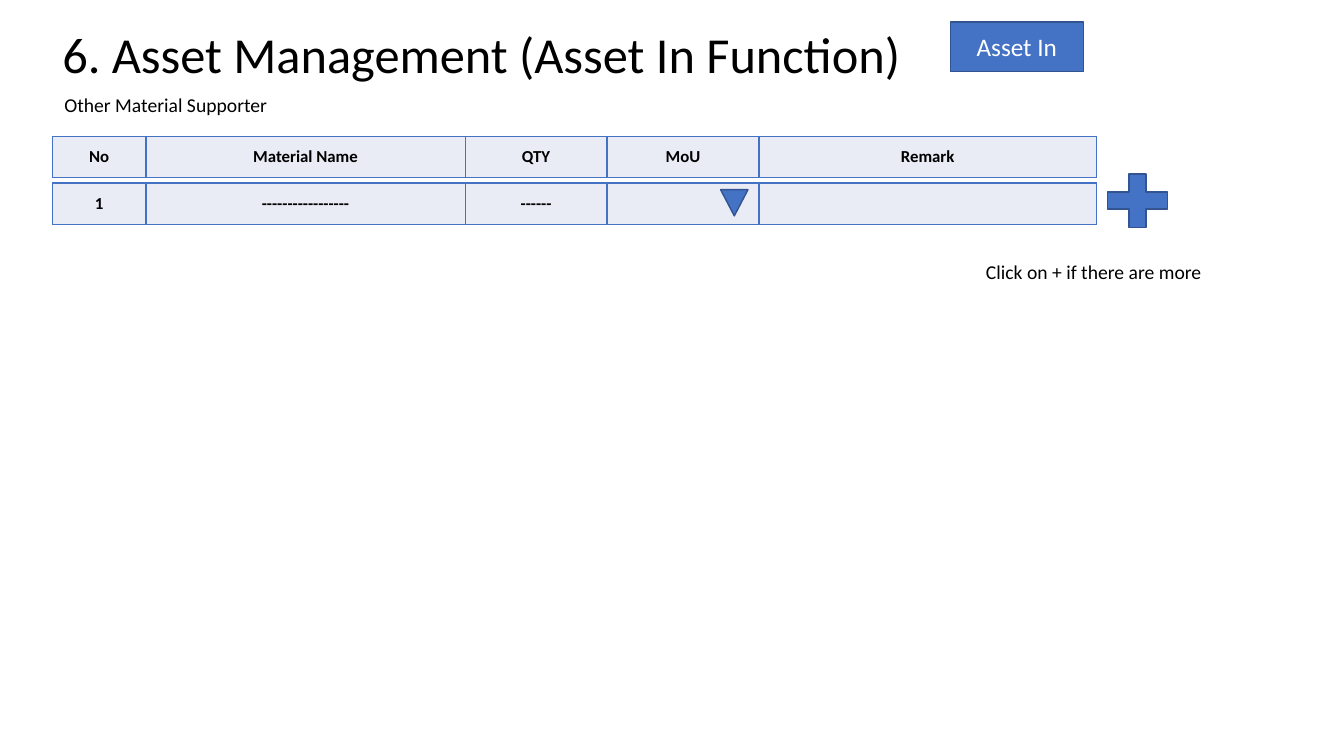
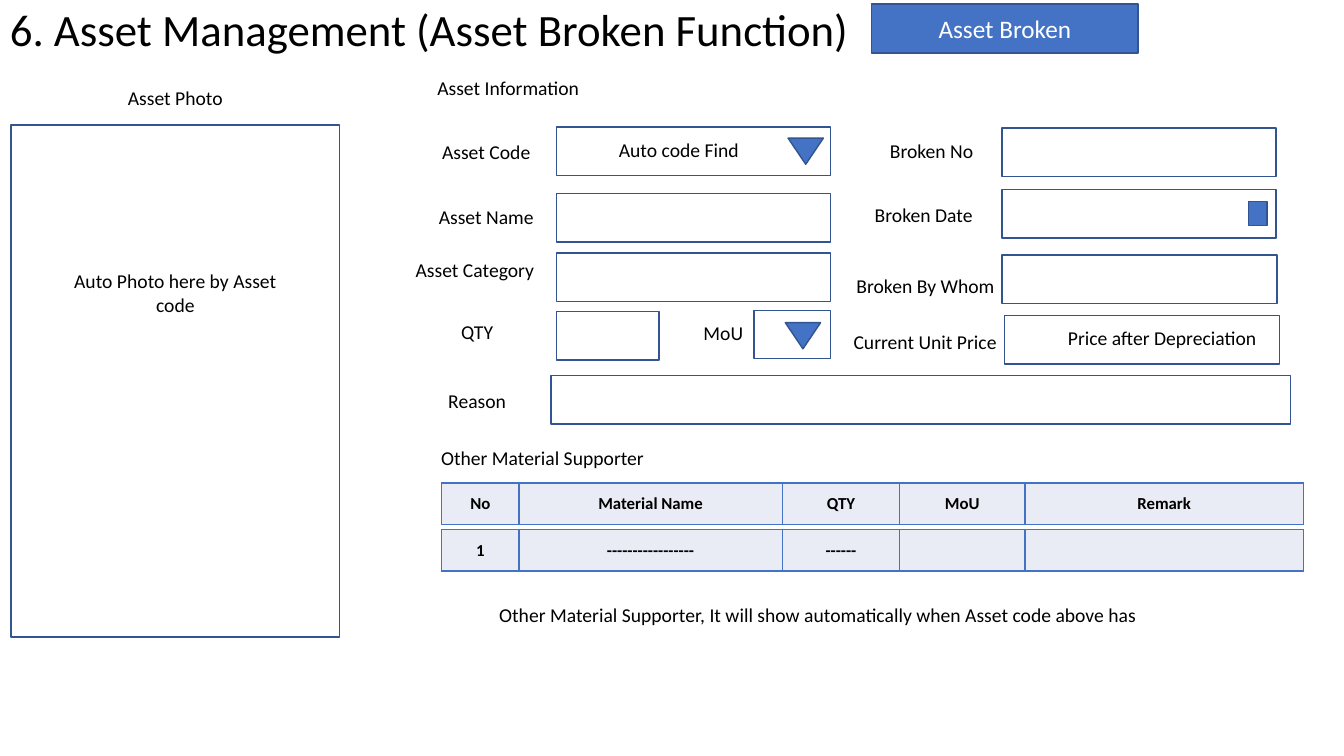
from dataclasses import dataclass

from lxml.etree import SubElement
from pptx import Presentation
from pptx.dml.color import RGBColor
from pptx.enum.shapes import MSO_SHAPE
from pptx.enum.text import MSO_ANCHOR, PP_ALIGN
from pptx.oxml.ns import qn
from pptx.shapes.autoshape import Shape
from pptx.slide import Slide
from pptx.table import _Cell
from pptx.text.text import _Paragraph
from pptx.util import Cm, Pt

BLUE = RGBColor(0x44, 0x72, 0xC4)
DARK_BLUE = RGBColor(0x32, 0x54, 0x91)
PALE_BLUE = RGBColor(0xE9, 0xEB, 0xF5)
BLACK = RGBColor(0, 0, 0)
WHITE = RGBColor(0xFF, 0xFF, 0xFF)

FONT = "Calibri"
LABEL_FORMAT = {"name": FONT, "size": Pt(14)}
BUTTON_FORMAT = {"name": FONT, "size": Pt(18)}
CELL_FORMAT = {"name": FONT, "size": Pt(12), "bold": True}

LABEL_HEIGHT = 1.24
INPUT_HEIGHT = 1.22
ROW_HEIGHT = 1.04
ROW_PITCH = 1.18
COLUMN_WEIGHTS = (93, 317, 141, 151, 335)
MATERIAL_ROWS = (
    ("No", "Material Name", "QTY", "MoU", "Remark"),
    ("1", "-----------------", "------", "", ""),
)


@dataclass(frozen=True)
class Box:
    """A place on the slide, in centimetres."""
    left: float
    top: float
    width: float
    height: float = LABEL_HEIGHT

    def lengths(self) -> tuple[Cm, Cm, Cm, Cm]:
        return Cm(self.left), Cm(self.top), Cm(self.width), Cm(self.height)


@dataclass(frozen=True)
class Label:
    text: str
    box: Box


@dataclass(frozen=True)
class Field:
    """A caption and the input box that it names."""
    caption: Label
    input_left: float
    input_top: float
    input_width: float


FIELDS = (
    Field(Label("Asset Code", Box(10.26, 3.2, 3.99)), 14.02, 3.2, 6.91),
    Field(Label("Asset Name", Box(10.26, 4.83, 3.99)), 14.02, 4.88, 6.91),
    Field(Label("Asset Category ", Box(10.03, 6.17, 3.99)), 14.02, 6.38, 6.91),
    Field(Label("QTY", Box(10.03, 7.75, 3.99)), 14.02, 7.85, 2.59),
    Field(Label("MoU", Box(16.59, 7.77, 3.28)), 19, 7.82, 1.93),
    Field(Label("Broken No ", Box(21.54, 3.18, 3.99)), 25.25, 3.23, 6.91),
    Field(Label("Broken Date ", Box(21.34, 4.8, 3.99)), 25.25, 4.78, 6.91),
    Field(Label("Broken By Whom", Box(21.13, 6.58, 4.39)), 25.25, 6.43, 6.93),
    Field(Label("Current Unit Price", Box(20.98, 7.98, 4.67)), 25.32, 7.95, 6.93),
    Field(Label("Reason", Box(10.36, 9.47, 3.33)), 13.89, 9.47, 18.64),
)

ASSET_IN_LABELS = (
    Label("Other Material Supporter", Box(0.66, 2.01, 7.04)),
    Label("Click on + if there are more ", Box(24.1, 6.22, 7.04)),
)

ASSET_BROKEN_LABELS = (
    Label("Asset Photo", Box(2.64, 1.83, 3.56)),
    Label("Auto Photo here by Asset code", Box(1.22, 6.76, 6.4)),
    Label("Asset Information", Box(10.31, 1.6, 5)),
    Label("Auto code Find", Box(14.48, 3.15, 5.26)),
    Label("Price after Depreciation", Box(26.04, 7.9, 6.5)),
    Label("Other Material Supporter", Box(10.36, 10.92, 6.63)),
    Label(
        "Other Material Supporter, It will show automatically when Asset code above has",
        Box(11.94, 14.86, 17.35),
    ),
)


def write(paragraph: _Paragraph, text: str, font_format: dict,
          color: RGBColor = BLACK, alignment: PP_ALIGN = PP_ALIGN.CENTER) -> None:
    paragraph.alignment = alignment
    run = paragraph.add_run()
    run.text = text
    for name, value in font_format.items():
        setattr(run.font, name, value)
    run.font.color.rgb = color


def add_title(slide: Slide, text: str, box: Box, size: int) -> None:
    frame = slide.shapes.add_textbox(*box.lengths()).text_frame
    frame.word_wrap = True
    paragraph = frame.paragraphs[0]
    paragraph.line_spacing = 0.9
    write(paragraph, text, {"name": FONT, "size": Pt(size)}, alignment=PP_ALIGN.LEFT)


def add_label(slide: Slide, label: Label) -> None:
    frame = slide.shapes.add_textbox(*label.box.lengths()).text_frame
    frame.word_wrap = True
    frame.vertical_anchor = MSO_ANCHOR.MIDDLE
    write(frame.paragraphs[0], label.text, LABEL_FORMAT)


def add_outlined_shape(slide: Slide, kind: MSO_SHAPE, box: Box,
                       fill: RGBColor | None = BLUE) -> Shape:
    shape = slide.shapes.add_shape(kind, *box.lengths())
    shape.shadow.inherit = False
    shape.line.color.rgb = DARK_BLUE
    shape.line.width = Pt(1)
    if fill is None:
        shape.fill.background()
    else:
        shape.fill.solid()
        shape.fill.fore_color.rgb = fill
    return shape


def add_button(slide: Slide, text: str, box: Box) -> None:
    frame = add_outlined_shape(slide, MSO_SHAPE.RECTANGLE, box).text_frame
    frame.vertical_anchor = MSO_ANCHOR.MIDDLE
    write(frame.paragraphs[0], text, BUTTON_FORMAT, WHITE)


def add_dropdown_arrow(slide: Slide, box: Box) -> None:
    add_outlined_shape(slide, MSO_SHAPE.ISOSCELES_TRIANGLE, box).rotation = 180


def add_field(slide: Slide, field: Field) -> None:
    box = Box(field.input_left, field.input_top, field.input_width, INPUT_HEIGHT)
    add_outlined_shape(slide, MSO_SHAPE.RECTANGLE, box, fill=None)
    add_label(slide, field.caption)


def add_borders(cell: _Cell) -> None:
    properties = cell._tc.get_or_add_tcPr()
    for side in ("a:lnL", "a:lnR", "a:lnT", "a:lnB"):
        line = SubElement(properties, qn(side), w=str(Pt(1)))
        fill = SubElement(line, qn("a:solidFill"))
        SubElement(fill, qn("a:srgbClr"), val=str(BLUE))


def add_material_tables(slide: Slide, left: float, top: float, width: float) -> None:
    """Draw each material row as a table of its own, a small gap apart."""
    for index, texts in enumerate(MATERIAL_ROWS):
        box = Box(left, top + index * ROW_PITCH, width, ROW_HEIGHT)
        table = slide.shapes.add_table(1, len(texts), *box.lengths()).table
        table.first_row = False
        table.horz_banding = False
        for column, weight in zip(table.columns, COLUMN_WEIGHTS):
            column.width = Cm(width * weight / sum(COLUMN_WEIGHTS))
        for cell, text in zip(table.rows[0].cells, texts):
            add_borders(cell)
            cell.fill.solid()
            cell.fill.fore_color.rgb = PALE_BLUE
            cell.vertical_anchor = MSO_ANCHOR.MIDDLE
            if text:
                write(cell.text_frame.paragraphs[0], text, CELL_FORMAT)


def build_asset_in(slide: Slide) -> None:
    add_title(slide, "6. Asset Management (Asset In Function)",
              Box(1.32, 0.64, 22.43, 2.16), 36)
    add_button(slide, "Asset In", Box(23.95, 0.56, 3.35))
    add_material_tables(slide, 1.32, 3.43, 26.31)
    add_dropdown_arrow(slide, Box(18.16, 4.78, 0.69, 0.66))
    add_outlined_shape(slide, MSO_SHAPE.MATH_PLUS, Box(27.64, 4.14, 2.06, 1.83))
    for label in ASSET_IN_LABELS:
        add_label(slide, label)


def build_asset_broken(slide: Slide) -> None:
    add_title(slide, "6. Asset Management (Asset Broken Function)",
              Box(0, 0.08, 21.97, 1.5), 32)
    add_button(slide, "Asset Broken", Box(21.97, 0.1, 6.71))
    photo_frame = Box(0.28, 3.15, 8.28, 12.9)
    add_outlined_shape(slide, MSO_SHAPE.RECTANGLE, photo_frame, fill=None)
    for field in FIELDS:
        add_field(slide, field)
    for label in ASSET_BROKEN_LABELS:
        add_label(slide, label)
    add_dropdown_arrow(slide, Box(19.86, 3.48, 0.89, 0.66))
    add_dropdown_arrow(slide, Box(19.79, 8.13, 0.89, 0.66))
    date_picker = Box(31.47, 5.08, 0.46, 0.61)
    add_outlined_shape(slide, MSO_SHAPE.RECTANGLE, date_picker)
    add_material_tables(slide, 11.13, 12.17, 21.72)


def main() -> None:
    presentation = Presentation()
    presentation.slide_width = Cm(33.87)
    presentation.slide_height = Cm(19.05)
    blank_layout = presentation.slide_layouts[6]
    for build in (build_asset_in, build_asset_broken):
        build(presentation.slides.add_slide(blank_layout))
    presentation.save("out.pptx")


if __name__ == "__main__":
    main()
